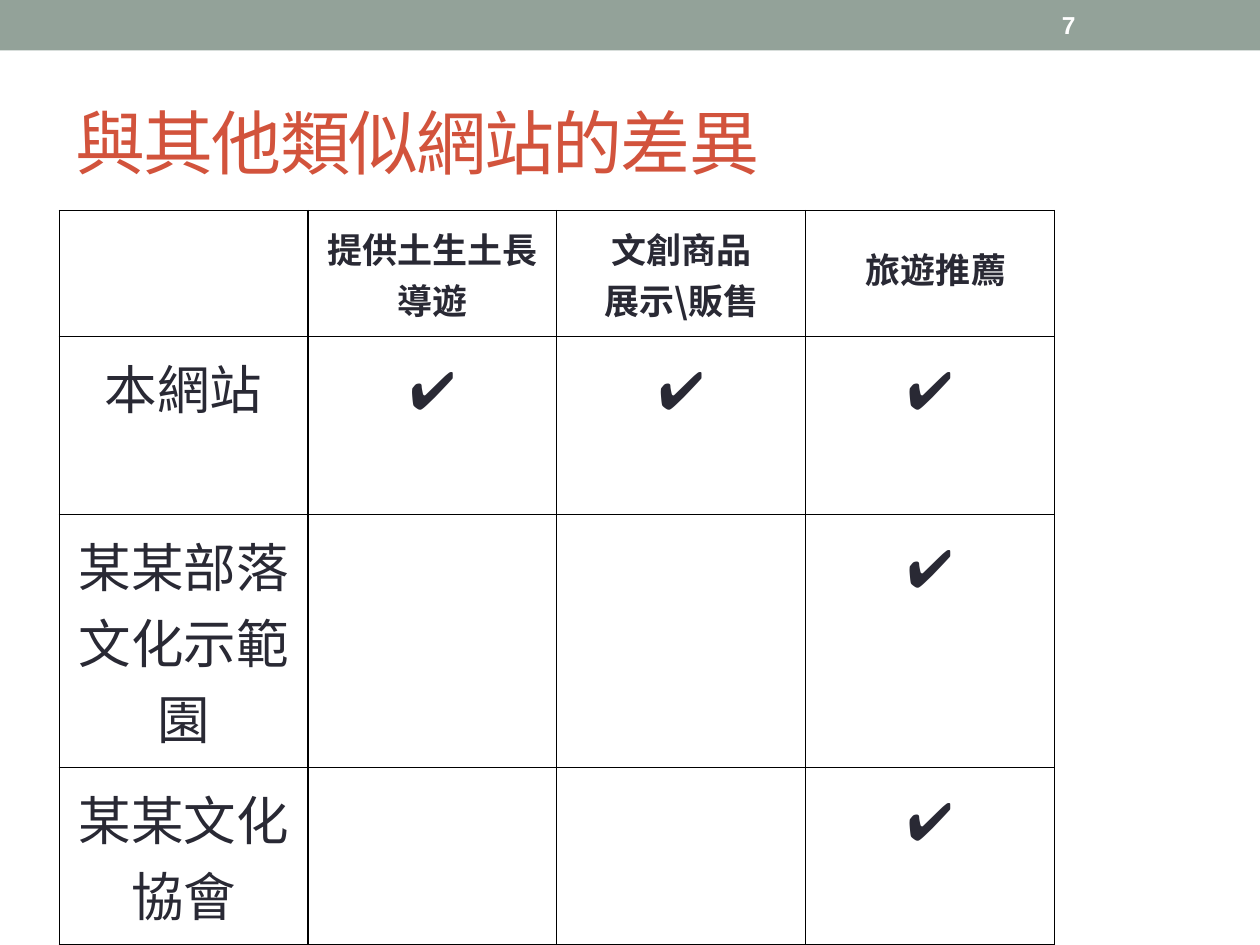
"""Build a slide comparing this website with similar ones."""
from dataclasses import dataclass

from lxml import etree
from pptx import Presentation
from pptx.dml.color import RGBColor
from pptx.enum.shapes import MSO_SHAPE
from pptx.enum.text import MSO_ANCHOR, MSO_AUTO_SIZE, PP_ALIGN
from pptx.oxml.ns import qn
from pptx.util import Inches, Pt

RECTANGLE = MSO_SHAPE.RECTANGLE
MIDDLE = MSO_ANCHOR.MIDDLE
NO_FIT = MSO_AUTO_SIZE.NONE
LEFT, CENTER = PP_ALIGN.LEFT, PP_ALIGN.CENTER
TITLE_ONLY = 5

TITLE = "與其他類似網站的差異"
PAGE_NUMBER = "7"
CHECK = "✔"
HEADERS = ["", "提供土生土長導遊", "文創商品\n展示\\販售", "旅遊推薦"]
SITES = [
    ("本網站", (True, True, True)),
    ("某某部落文化示範園", (False, False, True)),
    ("某某文化協會", (False, False, True)),
]
ROW_HEIGHTS = [1, 1.41, 2.01, 1.41]
TABLE_WIDTH = 7.9


@dataclass(frozen=True)
class Theme:
    latin: str = "Arial"
    chinese: str = "Noto Sans CJK TC"
    band: str = "93A299"
    accent: str = "D2533C"
    ink: str = "292934"
    white: str = "FFFFFF"
    border: str = "000000"
    title_size: int = 40
    body_size: int = 30
    header_size: int = 20
    number_size: int = 14


THEME = Theme()


def style_span(span, size, color, latin, bold=False):
    font = span.font
    font.size, font.bold, font.name = Pt(size), bold, latin
    font.color.rgb = RGBColor.from_string(color)
    etree.SubElement(font._element, qn("a:ea"), typeface=THEME.chinese)


def style_frame(frame, align, *style):
    for para in frame.paragraphs:
        para.alignment = align
        for span in para.runs:
            style_span(span, *style)


def set_borders(cell):
    properties = cell._tc.get_or_add_tcPr()
    for index, side in enumerate(("lnL", "lnR", "lnT", "lnB")):
        line = etree.Element(qn(f"a:{side}"), w=str(Pt(0.75)))
        fill = etree.SubElement(line, qn("a:solidFill"))
        etree.SubElement(fill, qn("a:srgbClr"), val=THEME.border)
        properties.insert(index, line)


def add_band(page, width):
    band = page.shapes.add_shape(RECTANGLE, 0, 0, width, Inches(0.4))
    band.shadow.inherit = False
    band.fill.solid()
    band.fill.fore_color.rgb = RGBColor.from_string(THEME.band)
    band.line.fill.background()
    box = page.shapes.add_textbox(Inches(8.33), Inches(0.02), Inches(1.17), Inches(0.36))
    frame = box.text_frame
    frame.word_wrap = True
    frame.vertical_anchor = MIDDLE
    frame.text = PAGE_NUMBER
    style_frame(frame, LEFT, THEME.number_size, THEME.white, THEME.latin, True)


def add_title(page):
    title = page.shapes.title
    title.left, title.top = Inches(0.5), Inches(0.58)
    title.width, title.height = Inches(9), Inches(1.08)
    frame = title.text_frame
    frame.text = TITLE
    frame.auto_size = NO_FIT
    frame.vertical_anchor = MIDDLE
    style_frame(frame, LEFT, THEME.title_size, THEME.accent, THEME.latin)
    for span in frame.paragraphs[0].runs:
        span.font._element.set("spc", "-100")


def add_comparison(page):
    rows = [HEADERS] + [
        [site] + [CHECK if offered else "" for offered in offers] for site, offers in SITES
    ]
    table = page.shapes.add_table(
        len(rows), len(HEADERS), Inches(0.47), Inches(1.67),
        Inches(TABLE_WIDTH), Inches(sum(ROW_HEIGHTS)),
    ).table
    table.first_row = table.horz_banding = False
    for row_index, texts in enumerate(rows):
        table.rows[row_index].height = Inches(ROW_HEIGHTS[row_index])
        is_header = row_index == 0
        size = THEME.header_size if is_header else THEME.body_size
        for column_index, text in enumerate(texts):
            cell = table.cell(row_index, column_index)
            cell.margin_left = cell.margin_right = Inches(0.1)
            cell.margin_top = cell.margin_bottom = Inches(0.1)
            cell.fill.background()
            set_borders(cell)
            cell.text_frame.text = text
            style_frame(cell.text_frame, CENTER, size, THEME.ink, THEME.chinese, is_header)
    indent_last_header(table.cell(0, len(HEADERS) - 1).text_frame.paragraphs[0])


def indent_last_header(para):
    label = para.runs[0]
    space = para.add_run()
    space.text = " "
    style_span(space, THEME.body_size, THEME.ink, THEME.chinese)
    label._r.addprevious(space._r)


def main():
    deck = Presentation()
    deck.slide_width, deck.slide_height = Inches(10), Inches(7.5)
    page = deck.slides.add_slide(deck.slide_layouts[TITLE_ONLY])
    add_band(page, deck.slide_width)
    add_title(page)
    add_comparison(page)
    deck.save("out.pptx")


if __name__ == "__main__":
    main()
